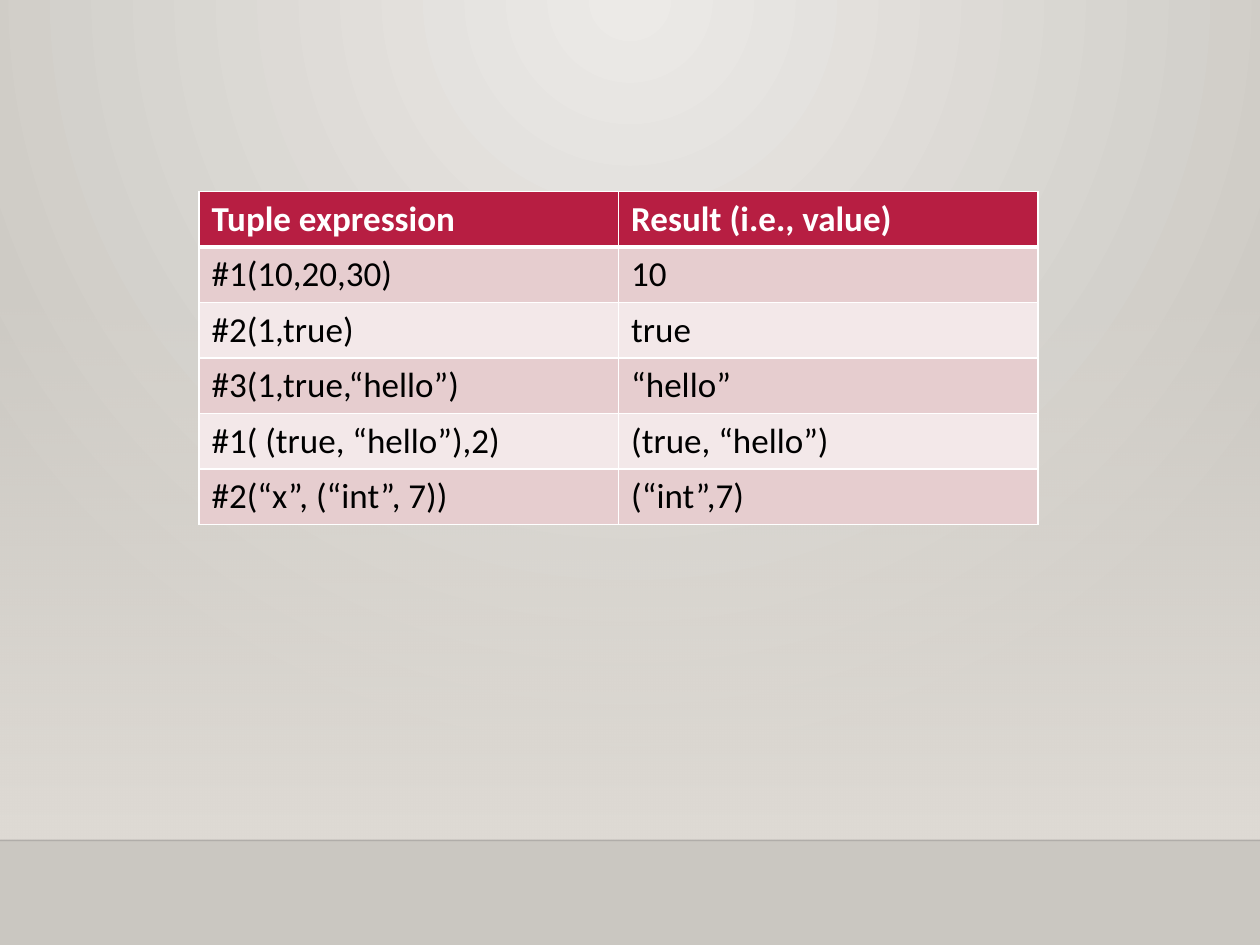
import pptx
import pptx.util
import pptx.dml.color
import pptx.enum.shapes
import pptx.oxml
import pptx.oxml.ns

ROWS = [
    ("Tuple expression", "Result (i.e., value)"),
    ("#1(10,20,30)", "10"),
    ("#2(1,true)", "true"),
    ("#3(1,true,“hello”)", "“hello”"),
    ("#1( (true, “hello”),2)", "(true, “hello”)"),
    ("#2(“x”, (“int”, 7))", "(“int”,7)"),
]
NAMESPACE = pptx.oxml.ns.nsdecls("a")
qn = pptx.oxml.ns.qn


def color(text):
    return pptx.dml.color.RGBColor.from_string(text)


def add_alpha(element, percent):
    """Make the first colour inside the element partly transparent."""
    shade = element.find(".//" + qn("a:srgbClr"))
    shade.append(pptx.oxml.parse_xml(f'<a:alpha {NAMESPACE} val="{percent * 1000}"/>'))


deck = pptx.Presentation()
deck.slide_width = pptx.util.Inches(10)
deck.slide_height = pptx.util.Inches(7.5)
page = deck.slides.add_slide(deck.slide_layouts[6])

# Background: a glow spreading from the top centre
backdrop = page.background.fill
backdrop.gradient()
for stop, shade in zip(backdrop.gradient_stops, ("ECEAE7", "CAC7C1")):
    stop.color.rgb = color(shade)
gradient = page.element.find(".//" + qn("a:gradFill"))
gradient.replace(gradient.find(qn("a:lin")), pptx.oxml.parse_xml(
    f'<a:path {NAMESPACE} path="circle">'
    '<a:fillToRect l="43000" t="0" r="43000" b="100000"/></a:path>'))

# Wall fading in downwards to the floor line
floor = pptx.util.Inches(6.67)
wall_top = pptx.util.Inches(2.2)
wall = page.shapes.add_shape(pptx.enum.shapes.MSO_SHAPE.RECTANGLE,
                             0, wall_top, deck.slide_width, floor - wall_top)
wall.shadow.inherit = False
wall.line.fill.background()
wall.fill.gradient()
wall.fill.gradient_angle = 270
for stop in wall.fill.gradient_stops:
    stop.color.rgb = color("DFDBD5")
add_alpha(wall.element.spPr, 0)

edge = page.shapes.add_connector(pptx.enum.shapes.MSO_CONNECTOR.STRAIGHT,
                                 0, floor, deck.slide_width, floor)
edge.line.color.rgb = color("000001")
edge.line.width = pptx.util.Pt(1)
add_alpha(edge.element.spPr, 20)
edge.element.spPr.append(pptx.oxml.parse_xml(f"<a:effectLst {NAMESPACE}/>"))

# Table of tuple expressions and their values
row_height = pptx.util.Inches(0.44)
column_width = pptx.util.Inches(3.33)
table = page.shapes.add_table(len(ROWS), 2, pptx.util.Inches(1.58), pptx.util.Inches(1.52),
                              2 * column_width, len(ROWS) * row_height).table
for row, texts in enumerate(ROWS):
    table.rows[row].height = row_height
    for column, text in enumerate(texts):
        cell = table.cell(row, column)
        cell.text = text
        font = cell.text_frame.paragraphs[0].runs[0].font
        font.name = "Calibri"
        font.size = pptx.util.Pt(20)
        font.bold = row == 0
        font.color.rgb = color("000000" if row else "FFFFFF")
        cell.fill.solid()
        cell.fill.fore_color.rgb = color(("F3E8E9", "E6CDCF")[row % 2] if row else "B71E42")
        widths = {"L": 1, "R": 1, "T": 3 if row == 1 else 1, "B": 1 if row else 3}
        for place, (side, width) in enumerate(widths.items()):
            cell._tc.tcPr.insert(place, pptx.oxml.parse_xml(
                f'<a:ln{side} {NAMESPACE} w="{pptx.util.Pt(width)}"><a:solidFill>'
                f'<a:srgbClr val="FFFFFF"/></a:solidFill></a:ln{side}>'))

deck.save("out.pptx")
